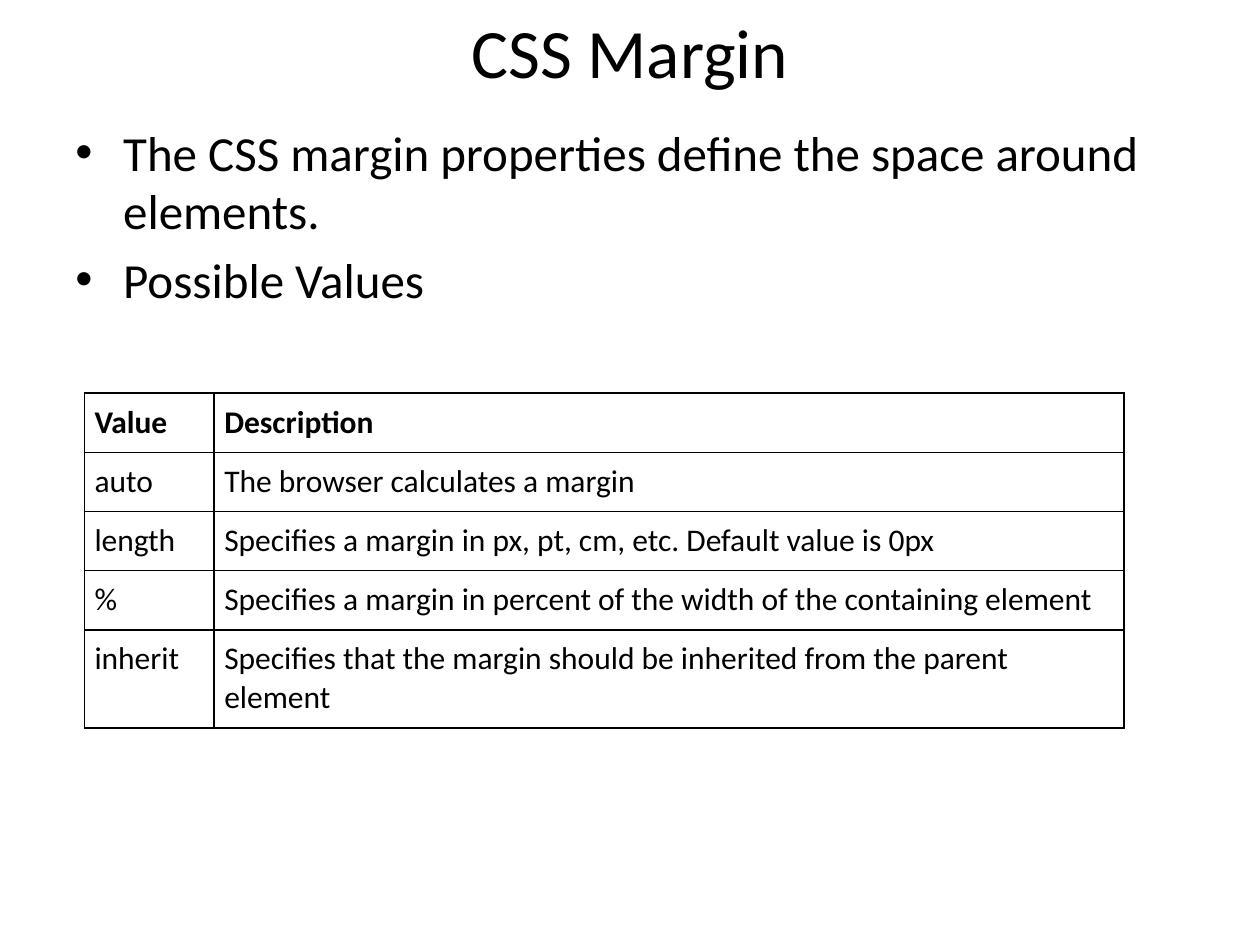
from lxml import etree
from pptx import Presentation
from pptx.dml.color import RGBColor
from pptx.enum.text import MSO_ANCHOR, PP_ALIGN
from pptx.oxml.ns import qn
from pptx.util import Inches, Pt

FONT = "Calibri"
COLORS = {"text": "000000", "border": "000000", "cell": "FFFFFF"}
BULLETS = [
    "The CSS margin properties define the space around elements.",
    "Possible Values",
]
MARGIN_VALUES = [
    ("Value", "Description"),
    ("auto", "The browser calculates a margin"),
    ("length", "Specifies a margin in px, pt, cm, etc. Default value is 0px"),
    ("%", "Specifies a margin in percent of the width of the containing element"),
    ("inherit", "Specifies that the margin should be inherited from the parent element"),
]
COLUMN_WIDTHS = (1.03, 7.22)
ROW_HEIGHTS = (0.47, 0.47, 0.47, 0.47, 0.78)


def write(paragraph, text, size, bold=False):
    """Put one styled run into a paragraph."""
    run = paragraph.add_run()
    run.text = text
    run.font.name, run.font.size, run.font.bold = FONT, Pt(size), bold
    run.font.color.rgb = RGBColor.from_string(COLORS["text"])


def add_text_frame(slide, left, top, width, height):
    """Add a wrapping text box and return its text frame."""
    box = slide.shapes.add_textbox(*map(Inches, (left, top, width, height)))
    box.text_frame.word_wrap = True
    return box.text_frame


def add_title(slide, text):
    """Add the centred slide title."""
    frame = add_text_frame(slide, 0.5, 0.01, 9, 0.78)
    frame.vertical_anchor = MSO_ANCHOR.MIDDLE
    frame.paragraphs[0].alignment = PP_ALIGN.CENTER
    write(frame.paragraphs[0], text, 39.6)


def add_bullets(slide, items):
    """Add the bulleted list with hanging indents."""
    frame = add_text_frame(slide, 0.5, 0.92, 9, 5.78)
    for index, item in enumerate(items):
        paragraph = frame.add_paragraph() if index else frame.paragraphs[0]
        paragraph.space_before = Pt(5.6 if index else 0)
        properties = paragraph._p.get_or_add_pPr()
        properties.set("marL", str(Inches(0.38)))
        properties.set("indent", str(Inches(-0.38)))
        etree.SubElement(properties, qn("a:buFont"), typeface="Arial")
        etree.SubElement(properties, qn("a:buChar"), char="•")
        write(paragraph, item, 28)


def set_borders(cell):
    """Draw a thin line on all four sides of a cell."""
    properties = cell._tc.get_or_add_tcPr()
    for index, side in enumerate(("lnL", "lnR", "lnT", "lnB")):
        line = etree.Element(qn("a:" + side), w=str(Pt(1)))
        fill = etree.SubElement(line, qn("a:solidFill"))
        etree.SubElement(fill, qn("a:srgbClr"), val=COLORS["border"])
        properties.insert(index, line)


def add_value_table(slide, rows):
    """Add the bordered table with a bold heading row."""
    table = slide.shapes.add_table(
        len(rows), len(COLUMN_WIDTHS), Inches(0.67), Inches(3.12),
        Inches(sum(COLUMN_WIDTHS)), Inches(sum(ROW_HEIGHTS))).table
    for column, width in zip(table.columns, COLUMN_WIDTHS):
        column.width = Inches(width)
    for r, (texts, height) in enumerate(zip(rows, ROW_HEIGHTS)):
        table.rows[r].height = Inches(height)
        for c, text in enumerate(texts):
            cell = table.cell(r, c)
            cell.margin_left = cell.margin_right = Inches(0.08)
            cell.margin_top = cell.margin_bottom = Inches(0.08)
            cell.fill.solid()
            cell.fill.fore_color.rgb = RGBColor.from_string(COLORS["cell"])
            set_borders(cell)
            write(cell.text_frame.paragraphs[0], text, 18, bold=r == 0)


def main():
    """Build the slide and save it."""
    deck = Presentation()
    deck.slide_width, deck.slide_height = Inches(10), Inches(7.5)
    slide = deck.slides.add_slide(deck.slide_layouts[6])
    add_title(slide, "CSS\u00a0Margin")
    add_bullets(slide, BULLETS)
    add_value_table(slide, MARGIN_VALUES)
    deck.save("out.pptx")


main()
